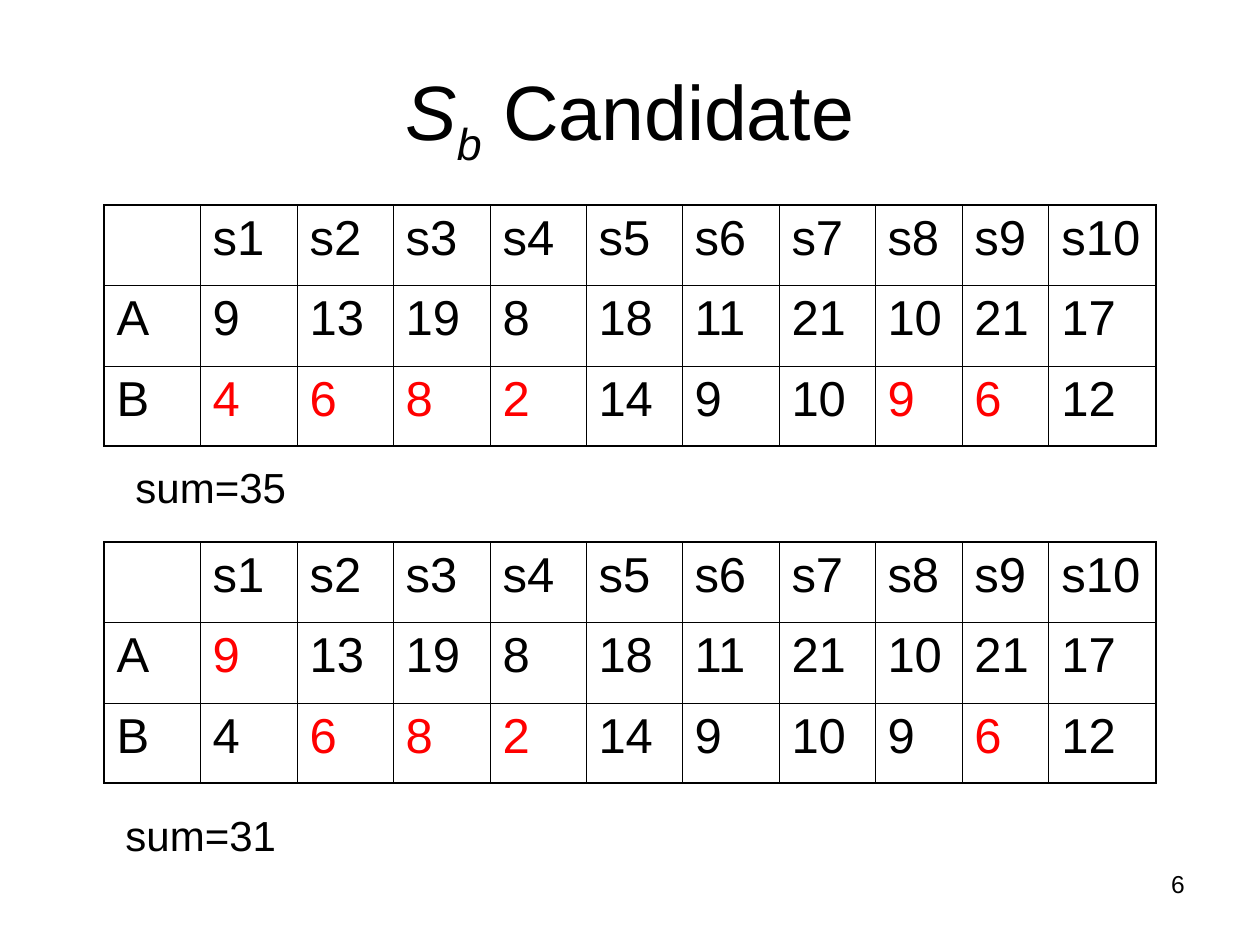
"""Build the slide that compares two S_b candidates in score tables."""
import lxml.etree
import pptx
import pptx.dml.color
import pptx.enum.text
import pptx.oxml.ns
import pptx.util

PX = 914400 / 126
FONT = "Arial"
BLACK, RED = "000000", "FF0000"
THIN, THICK = 0.45, 1.08

TITLE = [("S", True, 0), ("b", True, -25000), (" Candidate", False, 0)]
SCORES = [
    ["", "s1", "s2", "s3", "s4", "s5", "s6", "s7", "s8", "s9", "s10"],
    ["A", "9", "13", "19", "8", "18", "11", "21", "10", "21", "17"],
    ["B", "4", "6", "8", "2", "14", "9", "10", "9", "6", "12"],
]
CANDIDATES = [
    {"top": 205, "chosen": {"B": ["s1", "s2", "s3", "s4", "s8", "s9"]},
     "sum": "sum=35", "sum_at": (123, 452)},
    {"top": 542, "chosen": {"A": ["s1"], "B": ["s2", "s3", "s4", "s9"]},
     "sum": "sum=31", "sum_at": (113, 800)},
]
PAGE_NUMBER = "6"
TABLE_LEFT = 104
COLUMNS = [96, 97, 96, 97, 96, 96, 97, 96, 87, 87, 107]
ROWS = [80, 81, 80]


def px(value):
    return pptx.util.Emu(round(value * PX))


def style(span, size, color=BLACK):
    span.font.name = FONT
    span.font.size = pptx.util.Pt(size)
    span.font.color.rgb = pptx.dml.color.RGBColor.from_string(color)


def add_title(page):
    title = page.shapes.title
    title.left, title.top, title.width, title.height = map(px, (63, 38, 1134, 157))
    title.text_frame.vertical_anchor = pptx.enum.text.MSO_ANCHOR.MIDDLE
    para = title.text_frame.paragraphs[0]
    para.alignment = pptx.enum.text.PP_ALIGN.CENTER
    for text, italic, baseline in TITLE:
        span = para.add_run()
        span.text = text
        style(span, 44)
        span.font.italic = italic
        if baseline:
            span._r.get_or_add_rPr().set("baseline", str(baseline))


def add_label(page, text, place, size, align):
    box = page.shapes.add_textbox(*map(px, place))
    frame = box.text_frame
    frame.word_wrap = True
    frame.vertical_anchor = pptx.enum.text.MSO_ANCHOR.MIDDLE
    frame.text = text
    frame.paragraphs[0].alignment = align
    style(frame.paragraphs[0].runs[0], size)


def set_borders(cell, outer_sides):
    qn = pptx.oxml.ns.qn
    properties = cell._tc.get_or_add_tcPr()
    for side, outer in zip("LRTB", outer_sides):
        width = pptx.util.Pt(THICK if outer else THIN)
        line = lxml.etree.SubElement(properties, qn(f"a:ln{side}"), w=str(width))
        fill = lxml.etree.SubElement(line, qn("a:solidFill"))
        lxml.etree.SubElement(fill, qn("a:srgbClr"), val=BLACK)


def add_scores(page, top, chosen):
    place = map(px, (TABLE_LEFT, top, sum(COLUMNS), sum(ROWS)))
    table = page.shapes.add_table(len(ROWS), len(COLUMNS), *place).table
    table.first_row = table.horz_banding = False
    for column, width in zip(table.columns, COLUMNS):
        column.width = px(width)
    for row, height in zip(table.rows, ROWS):
        row.height = px(height)
    for i, values in enumerate(SCORES):
        for j, text in enumerate(values):
            cell = table.cell(i, j)
            set_borders(cell, (j == 0, j == len(COLUMNS) - 1, i == 0, i == len(ROWS) - 1))
            cell.fill.background()
            cell.text_frame.text = text
            color = RED if SCORES[0][j] in chosen.get(values[0], []) else BLACK
            for span in cell.text_frame.paragraphs[0].runs:
                style(span, 28, color)


def main():
    deck = pptx.Presentation()
    deck.slide_width, deck.slide_height = px(1260), px(945)
    page = deck.slides.add_slide(deck.slide_layouts[5])
    align = pptx.enum.text.PP_ALIGN
    add_title(page)
    for candidate in CANDIDATES:
        add_scores(page, candidate["top"], candidate["chosen"])
    for candidate in CANDIDATES:
        add_label(page, candidate["sum"], (*candidate["sum_at"], 258, 69), 24, align.LEFT)
    add_label(page, PAGE_NUMBER, (903, 861, 294, 46), 14, align.RIGHT)
    deck.save("out.pptx")


if __name__ == "__main__":
    main()
